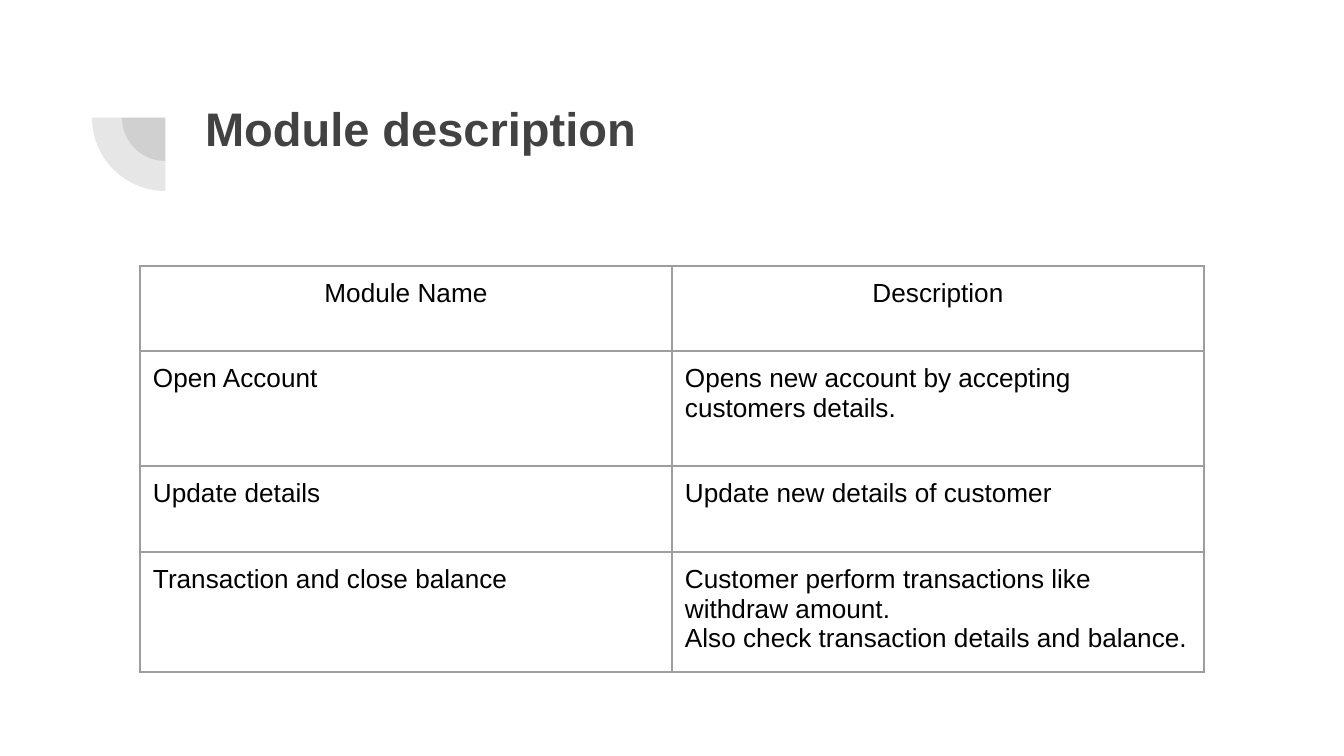
from lxml import etree
from pptx import Presentation
from pptx import util as u
from pptx.dml.color import RGBColor
from pptx.enum import shapes, text
from pptx.oxml.ns import qn

PX = 914400 / 134.4
CHARCOAL = RGBColor(0x42, 0x42, 0x42)
BLACK = RGBColor(0, 0, 0)
BORDER = RGBColor(0x9E, 0x9E, 0x9E)
INSET = 13


def px(length):
    return u.Emu(round(length * PX))


def add_run(paragraph, words, size, color, bold=False):
    run = paragraph.add_run()
    run.text = words
    run.font.name = "Arial"
    run.font.size = u.Pt(size)
    run.font.bold = bold
    run.font.color.rgb = color


presentation = Presentation()
presentation.slide_width = px(1344)
presentation.slide_height = px(756)
slide = presentation.slides.add_slide(presentation.slide_layouts[6])

for left, top, diameter in [(122, 74, 87), (92, 44, 147)]:
    pie = slide.shapes.add_shape(
        shapes.MSO_SHAPE.PIE, px(left), px(top), px(diameter), px(diameter))
    pie.adjustments[0] = 108
    pie.adjustments[1] = 162
    pie.rotation = 270
    pie.shadow.inherit = False
    pie.line.fill.background()
    pie.fill.solid()
    pie.fill.fore_color.rgb = CHARCOAL
    color = pie.fill._xPr.find(qn("a:solidFill"))[0]
    etree.SubElement(color, qn("a:alpha"), val="13000")

title = slide.shapes.add_textbox(px(192), px(87), px(1034), px(147))
frame = title.text_frame
frame.word_wrap = True
frame.vertical_anchor = text.MSO_ANCHOR.TOP
frame.margin_left = frame.margin_right = px(INSET)
frame.margin_top = frame.margin_bottom = px(INSET)
add_run(frame.paragraphs[0], "Module description", 25.2, CHARCOAL, bold=True)

rows = [
    ("Module Name", "Description"),
    ("Open Account", "Opens new account by accepting customers details."),
    ("Update details", "Update new details of customer"),
    ("Transaction and close balance",
     "Customer perform transactions like withdraw amount.\n"
     "Also check transaction details and balance."),
]
row_heights = [85, 115, 86, 115]
table = slide.shapes.add_table(
    len(rows), 2, px(140), px(266), px(1064), px(sum(row_heights))).table
table.first_row = False
table.horz_banding = False
for column in table.columns:
    column.width = px(532)

for row_index, (row, height) in enumerate(zip(rows, row_heights)):
    table.rows[row_index].height = px(height)
    for column_index, words in enumerate(row):
        cell = table.cell(row_index, column_index)
        cell.margin_left = cell.margin_right = px(INSET)
        cell.margin_top = cell.margin_bottom = px(INSET)
        cell.vertical_anchor = text.MSO_ANCHOR.TOP
        for line_index, line in enumerate(words.split("\n")):
            if line_index:
                paragraph = cell.text_frame.add_paragraph()
            else:
                paragraph = cell.text_frame.paragraphs[0]
            paragraph.alignment = (
                text.PP_ALIGN.LEFT if row_index else text.PP_ALIGN.CENTER)
            add_run(paragraph, line, 14, BLACK)
        properties = cell._tc.get_or_add_tcPr()
        for side in ("lnL", "lnR", "lnT", "lnB"):
            border = etree.SubElement(
                properties, qn(f"a:{side}"), w=str(u.Pt(0.75)))
            fill = etree.SubElement(border, qn("a:solidFill"))
            etree.SubElement(fill, qn("a:srgbClr"), val=str(BORDER))
        cell.fill.background()

presentation.save("out.pptx")
